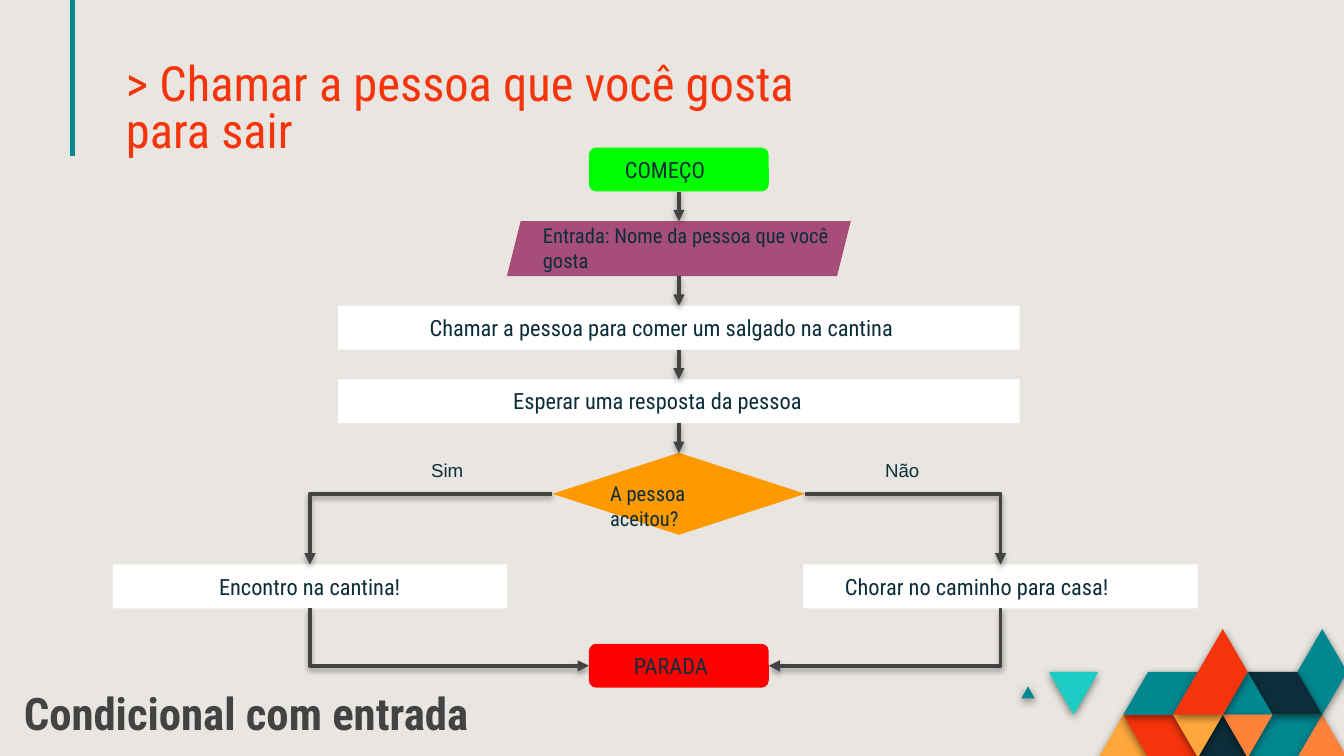
from lxml import etree
from pptx import Presentation
from pptx.dml.color import RGBColor
from pptx.enum.shapes import MSO_CONNECTOR, MSO_SHAPE
from pptx.enum.text import MSO_ANCHOR, MSO_AUTO_SIZE, PP_ALIGN
from pptx.oxml.ns import qn
from pptx.util import Cm, Pt

ROUNDED, SLANTED = MSO_SHAPE.ROUNDED_RECTANGLE, MSO_SHAPE.PARALLELOGRAM
RECTANGLE, DECISION = MSO_SHAPE.RECTANGLE, MSO_SHAPE.FLOWCHART_DECISION
STRAIGHT, ELBOW = MSO_CONNECTOR.STRAIGHT, MSO_CONNECTOR.ELBOW
TOP, MIDDLE = MSO_ANCHOR.TOP, MSO_ANCHOR.MIDDLE
GROW, JUSTIFY = MSO_AUTO_SIZE.SHAPE_TO_FIT_TEXT, PP_ALIGN.JUSTIFY

SAND = RGBColor(0xE9, 0xE6, 0xE1)
WHITE = RGBColor(0xFF, 0xFF, 0xFF)
GRAY = RGBColor(0x43, 0x43, 0x43)
NAVY = RGBColor(0x0C, 0x2E, 0x3A)
TEAL = RGBColor(0x01, 0x87, 0x90)
TURQUOISE = RGBColor(0x1D, 0xCD, 0xC3)
VERMILION = RGBColor(0xF5, 0x34, 0x0B)
AMBER = RGBColor(0xFF, 0xA7, 0x3B)
CORAL = RGBColor(0xFF, 0x82, 0x3B)
GREEN = RGBColor(0x00, 0xFF, 0x00)
PLUM = RGBColor(0xA6, 0x4D, 0x79)
ORANGE = RGBColor(0xFF, 0x99, 0x00)
RED = RGBColor(0xFF, 0x00, 0x00)
FONT = "Roboto Condensed"

# Lengths are centimetres.
TITLE = "> Chamar a pessoa que você gosta para sair"
FOOTER = "Condicional com entrada"
AXIS, FLOW_TOP, GAP, STOP_GAP = 12.83, 2.79, 0.56, 0.67
STEP_H, LABEL_H = 0.83, 1.02

# text, text size, (label left, width, height), shape, shape width, height, fill
TRUNK = [
    ("COMEÇO", 12, (11.56, 2.49, LABEL_H), ROUNDED, 3.4, STEP_H, GREEN),
    ("Entrada: Nome da pessoa que você gosta", 11, (10.01, 6.05, 1.45),
     SLANTED, 6.5, 1.04, PLUM),
    ("Chamar a pessoa para comer um salgado na cantina", 12,
     (7.87, 10.49, LABEL_H), RECTANGLE, 12.88, STEP_H, WHITE),
    ("Esperar uma resposta da pessoa", 12, (9.45, 7.04, LABEL_H),
     RECTANGLE, 12.88, STEP_H, WHITE),
    ("A pessoa aceitou?", 11, (11.28, 3.07, 0.99), DECISION, 4.78, 1.55, ORANGE),
]
# branch centre, answer, answer left, step
BRANCHES = [
    (5.86, "Sim", 7.9, ("Encontro na cantina!", 12, (3.89, 4.62, LABEL_H),
                        RECTANGLE, 7.45, STEP_H, WHITE)),
    (18.91, "Não", 16.48, ("Chorar no caminho para casa!", 12, (15.72, 6.35, LABEL_H),
                           RECTANGLE, 7.45, STEP_H, WHITE)),
]
STOP = ("PARADA", 12, (11.73, 2.46, LABEL_H), ROUNDED, 3.4, STEP_H, RED)

# Mosaic corners are (column, row) on a grid of half triangle sides.
GRID_LEFT, GRID_TOP, COLUMN_W, ROW_H = 20.76, 11.89, 0.47, 0.81
MOSAIC = [
    (AMBER, [(0, 3), (1, 2), (2, 3)]),
    (VERMILION, [(1, 2), (3, 2), (4, 3), (2, 3)]),
    (TEAL, [(6, 3), (7, 2), (9, 2), (8, 3)]),
    (CORAL, [(8, 3), (9, 2), (10, 3)]),
    (NAVY, [(4, 3), (5, 2), (6, 3)]),
    (TEAL, [(1, 2), (2, 1), (4, 1), (3, 2)]),
    (TEAL, [(-3.1, 1.62), (-2.83, 1.34), (-2.56, 1.62)]),
    (TURQUOISE, [(-2, 1), (0, 1), (-1, 2)]),
    (TEAL, [(8, 1), (9, 0), (10, 1), (9, 2)]),
    (NAVY, [(6, 1), (8, 1), (9, 2), (7, 2)]),
    (TEAL, [(5, 2), (6, 1), (7, 2)]),
    (CORAL, [(5, 2), (7, 2), (6, 3)]),
    (AMBER, [(3, 2), (5, 2), (4, 3)]),
    (VERMILION, [(3, 2), (5, 0), (6, 1), (5, 2)]),
]


def add_text(page, text, left, top, width, height, size=12, font=FONT, color=NAVY,
             bold=False, anchor=TOP, align=None, spacing=None, grow=True):
    box = page.shapes.add_textbox(Cm(left), Cm(top), Cm(width), Cm(height))
    frame = box.text_frame
    frame.word_wrap = True
    frame.vertical_anchor = anchor
    frame.margin_left = frame.margin_right = Cm(0.25)
    frame.margin_top = frame.margin_bottom = Cm(0.25)
    if grow:
        frame.auto_size = GROW
    para = frame.paragraphs[0]
    para.alignment = align
    para.line_spacing = spacing
    span = para.add_run()
    span.text = text
    span.font.size, span.font.name, span.font.bold = Pt(size), font, bold
    span.font.color.rgb = color


def add_shadow(shape, opacity, blur, distance):
    effects = etree.SubElement(shape._element.spPr, qn("a:effectLst"))
    shadow = etree.SubElement(effects, qn("a:outerShdw"), blurRad=str(Pt(blur)),
                              dist=str(Pt(distance)), dir="5400000",
                              algn="bl", rotWithShape="0")
    color = etree.SubElement(shadow, qn("a:srgbClr"), val="000000")
    etree.SubElement(color, qn("a:alpha"), val=str(opacity * 1000))


def add_line(page, kind, start, end, color=GRAY, width=2):
    line = page.shapes.add_connector(kind, *[Cm(value) for value in (*start, *end)])
    line.line.color.rgb = color
    line.line.width = Pt(width)
    return line


def finish_arrow(line):
    etree.SubElement(line.line._get_or_add_ln(), qn("a:tailEnd"), type="triangle")
    add_shadow(line, 37, 3.1, 1.6)


def add_corner_arrow(page, start, end, vertical_first=False):
    """Arrow with one right-angle turn; a vertical start needs a turned frame."""
    if vertical_first:
        (x1, y1), (x2, y2) = start, end
        x, y = (x1 + x2) / 2, (y1 + y2) / 2
        half_w, half_h = (y2 - y1) / 2, abs(x2 - x1) / 2
        side = 1 if x2 > x1 else -1
        start, end = (x + side * half_w, y - half_h), (x - side * half_w, y + half_h)
    line = add_line(page, ELBOW, start, end)
    properties = line._element.spPr
    properties.find(qn("a:prstGeom")).set("prst", "bentConnector2")
    if vertical_first:
        turn = 270 if side == 1 else 90
        properties.find(qn("a:xfrm")).set("rot", str(turn * 60000))
    finish_arrow(line)


def add_step(page, step, center, top):
    _, _, _, kind, width, height, fill = step
    shape = page.shapes.add_shape(kind, Cm(center - width / 2), Cm(top),
                                  Cm(width), Cm(height))
    shape.shadow.inherit = False
    shape.fill.solid()
    shape.fill.fore_color.rgb = fill
    shape.line.fill.background()
    return shape


def add_mosaic(page):
    for color, corners in MOSAIC:
        points = [(Cm(GRID_LEFT + column * COLUMN_W), Cm(GRID_TOP + row * ROW_H))
                  for column, row in corners]
        builder = page.shapes.build_freeform(*points[0], scale=1.0)
        builder.add_line_segments(points[1:], close=True)
        tile = builder.convert_to_shape()
        tile.fill.solid()
        tile.fill.fore_color.rgb = color
        tile.line.fill.background()
        add_shadow(tile, 49, 4.5, 1.5)


def add_flow(page):
    placed, trunk, top = [], [], FLOW_TOP
    for step in TRUNK:
        trunk.append(add_step(page, step, AXIS, top))
        placed.append((step, top))
        top += step[5] + GAP
    branch_top = top
    stop_top = branch_top + STEP_H + STOP_GAP
    for center, _, _, step in BRANCHES:
        add_step(page, step, center, branch_top)
        placed.append((step, branch_top))
    add_step(page, STOP, AXIS, stop_top)
    placed.append((STOP, stop_top))

    for index in range(len(TRUNK) - 1):
        (above, above_top), (below, below_top) = placed[index:index + 2]
        line = add_line(page, STRAIGHT, (AXIS, above_top + above[5]), (AXIS, below_top))
        if above[3] != SLANTED:
            line.begin_connect(trunk[index], 2)
        if below[3] != SLANTED:
            line.end_connect(trunk[index + 1], 0)
        finish_arrow(line)

    decision, decision_top = placed[len(TRUNK) - 1]
    decision_y = decision_top + decision[5] / 2
    for center, answer, answer_left, _ in BRANCHES:
        side = 1 if center > AXIS else -1
        add_corner_arrow(page, (AXIS + side * decision[4] / 2, decision_y),
                         (center, branch_top))
        add_corner_arrow(page, (center, branch_top + STEP_H),
                         (AXIS + side * STOP[4] / 2, stop_top + STEP_H / 2),
                         vertical_first=True)
        add_text(page, answer, answer_left, decision_y - 0.87, 1.17, 0.94,
                 size=10, font="Arial")

    for (text, size, (left, width, height), _, _, step_height, _), top in placed:
        add_text(page, text, left, top + (step_height - height) / 2, width, height,
                 size=size)


def main():
    deck = Presentation()
    deck.slide_width, deck.slide_height = Cm(25.4), Cm(14.29)
    page = deck.slides.add_slide(deck.slide_layouts[6])
    page.background.fill.solid()
    page.background.fill.fore_color.rgb = SAND

    accent = add_line(page, STRAIGHT, (1.37, 0), (1.37, 2.95), color=TEAL, width=2.25)
    etree.SubElement(accent._element.spPr, qn("a:effectLst"))
    add_mosaic(page)
    add_text(page, TITLE, 2.13, 1.3, 14.71, 1.6, size=26, color=VERMILION,
             anchor=MIDDLE, spacing=0.8, grow=False)
    add_text(page, FOOTER, 0.2, 12.88, 8.92, 1.17, size=24, color=GRAY, bold=True,
             anchor=MIDDLE, align=JUSTIFY, grow=False)
    add_flow(page)
    deck.save("out.pptx")


if __name__ == "__main__":
    main()
